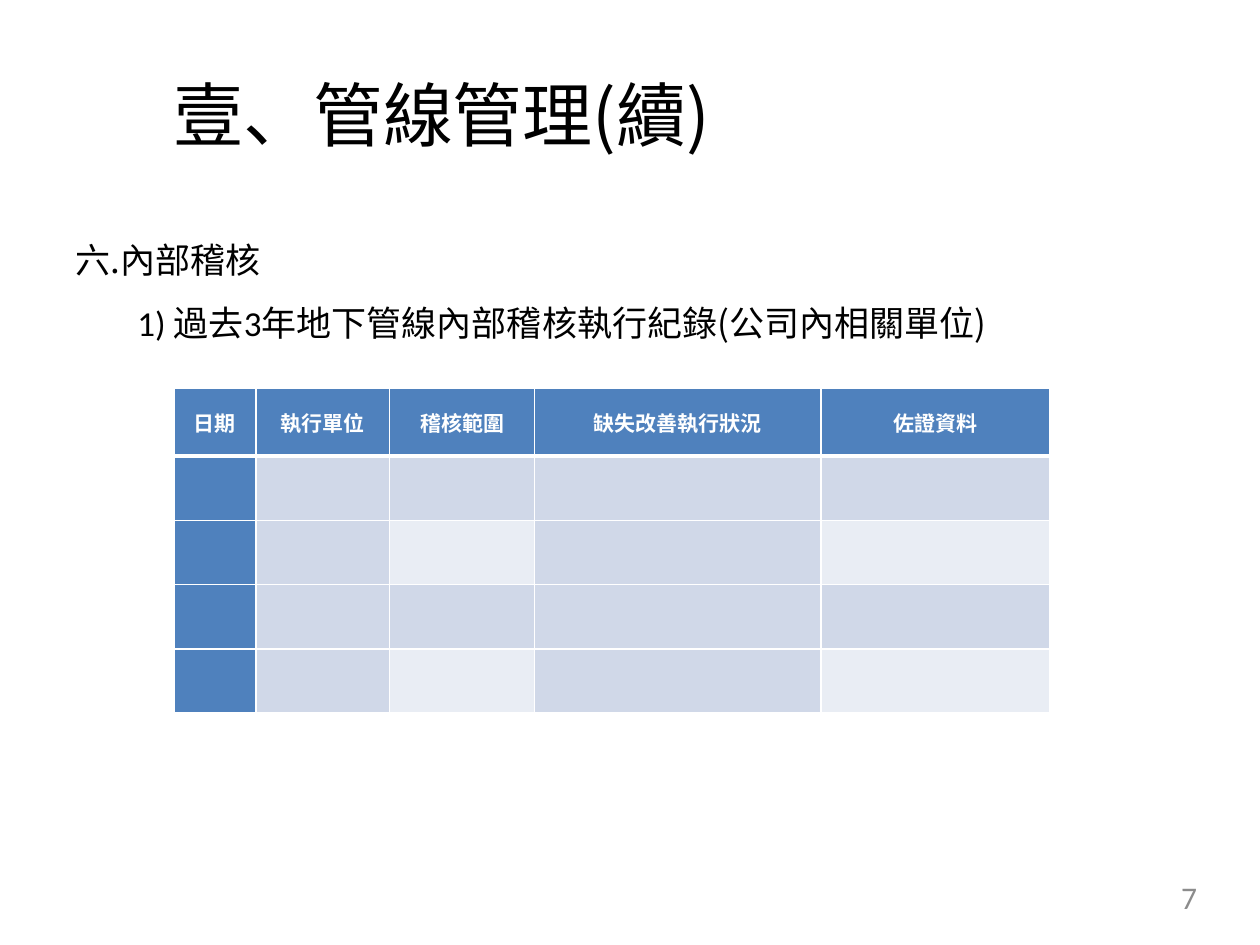
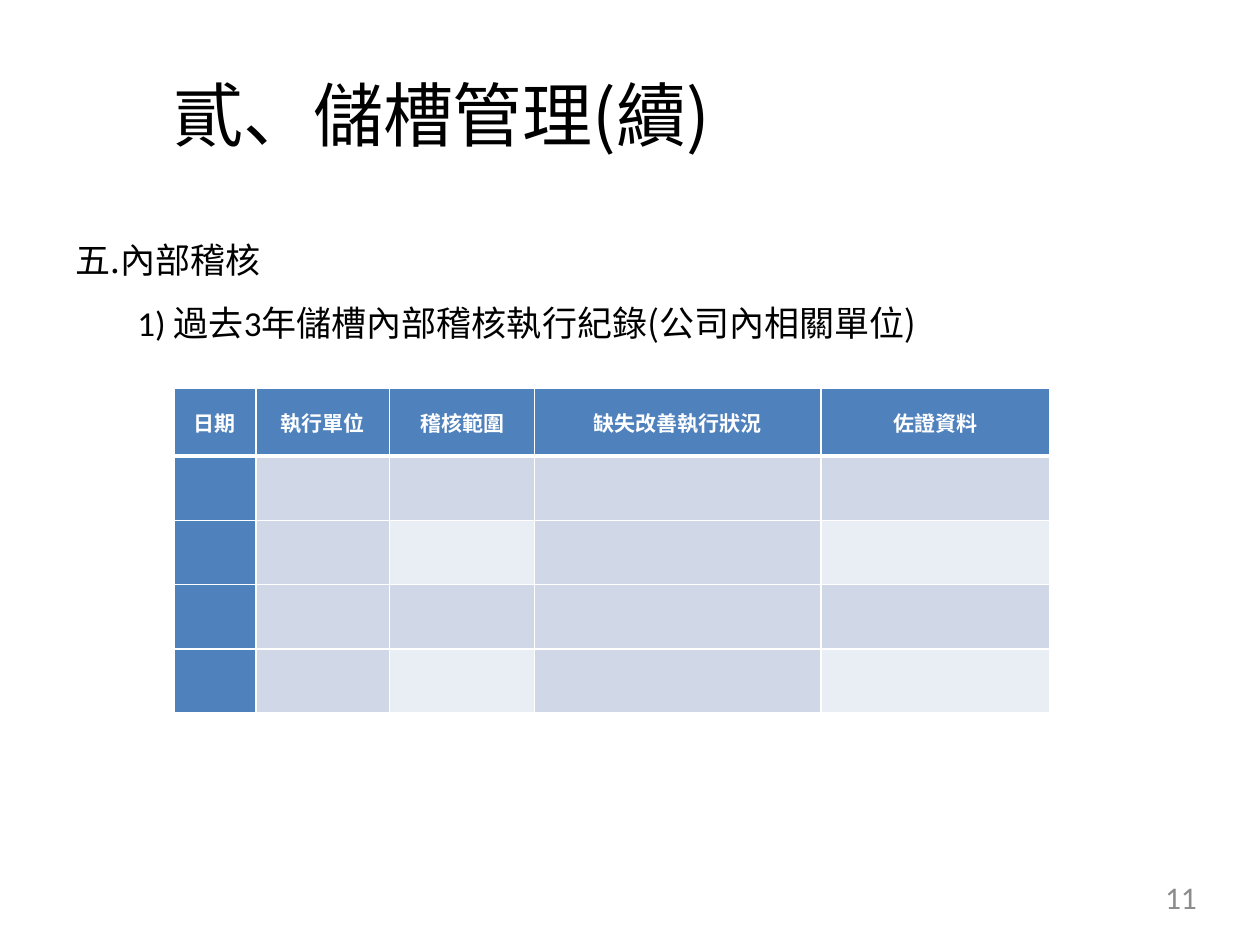
from collections import namedtuple
from dataclasses import dataclass

import pptx
import pptx.dml.color
import pptx.enum.text
import pptx.oxml.ns
import pptx.util
from lxml import etree

ALIGN = pptx.enum.text.PP_ALIGN
ANCHOR = pptx.enum.text.MSO_ANCHOR
GROW = pptx.enum.text.MSO_AUTO_SIZE.SHAPE_TO_FIT_TEXT
Pt = pptx.util.Pt

# The slide is a grid of 100 columns by 75 rows
SLIDE_WIDTH, SLIDE_HEIGHT = pptx.util.Inches(10), pptx.util.Inches(7.5)
COLUMN, ROW = SLIDE_WIDTH / 100, SLIDE_HEIGHT / 75

Box = namedtuple("Box", "left top width height")
TITLE_BOX = Box(13.7, 5.7, 76.3, 6.7)
BODY_BOX = Box(5, 16.7, 93.3, 11.1)
TABLE_BOX = Box(13.8, 30.8, 69.5, 25.8)
NUMBER_BOX = Box(72, 69.7, 23, 3.8)


@dataclass(frozen=True)
class Theme:
    latin: str = "Calibri"
    chinese: str = "Noto Sans CJK SC"
    text: str = "000000"
    muted: str = "8C8C8C"
    white: str = "FFFFFF"
    accent: str = "4F81BD"
    band: str = "D0D8E8"
    band_light: str = "E9EDF4"
    title_size: int = 40
    body_size: int = 20
    number_size: int = 18
    table_size: int = 12


THEME = Theme()
NO_MARGINS = dict.fromkeys(
    ("margin_left", "margin_top", "margin_right", "margin_bottom"), 0)
CELL_FORMAT = {**NO_MARGINS, "margin_left": Pt(5), "margin_right": Pt(5),
               "vertical_anchor": ANCHOR.MIDDLE}

AUDIT_HEADERS = ["日期", "執行單位", "稽核範圍", "缺失改善執行狀況", "佐證資料"]
AUDIT_WIDTHS = [0.65, 1.06, 1.15, 2.27, 1.81]
AUDIT_HEIGHTS = [0.54] + [0.51] * 4


def rgb(value):
    return pptx.dml.color.RGBColor.from_string(value)


def apply_format(target, values):
    for name, value in values.items():
        setattr(target, name, value)


def place(shape, box):
    apply_format(shape, {
        "left": round(box.left * COLUMN), "top": round(box.top * ROW),
        "width": round(box.width * COLUMN), "height": round(box.height * ROW)})


def add_element(parent, tag, **attributes):
    return etree.SubElement(parent, pptx.oxml.ns.qn(tag), attributes)


def add_run(paragraph, text, typeface, size, color, bold=False):
    run = paragraph.add_run()
    run.text = text
    apply_format(run.font, {"name": typeface, "size": Pt(size), "bold": bold})
    run.font.color.rgb = rgb(color)
    add_element(run.font._element, "a:ea", typeface=THEME.chinese)
    return run


def set_plain_indent(paragraph, columns=0):
    """Remove the bullet and set the left indent in grid columns."""
    properties = paragraph._p.get_or_add_pPr()
    properties.set("marL", str(round(columns * COLUMN)))
    properties.set("indent", "0")
    add_element(properties, "a:buNone")


def add_title(slide, box, text):
    shape = slide.shapes.title
    place(shape, box)
    apply_format(shape.text_frame, {
        **NO_MARGINS, "auto_size": GROW, "vertical_anchor": ANCHOR.TOP})
    paragraph = shape.text_frame.paragraphs[0]
    set_plain_indent(paragraph, 0.1)
    paragraph.alignment = ALIGN.LEFT
    run = add_run(paragraph, text, THEME.chinese, THEME.title_size, THEME.text)
    run.font._element.set("spc", "-10")


def add_body(slide, box, heading, subject):
    shape = slide.placeholders[1]
    place(shape, box)
    frame = shape.text_frame
    apply_format(frame, {"auto_size": GROW, "vertical_anchor": ANCHOR.MIDDLE})
    lines = [
        (0, [(heading, THEME.chinese)]),
        (4.9, [("1) ", THEME.latin), ("過去", THEME.chinese), ("3", THEME.latin),
               (f"年{subject}內部稽核執行紀錄(公司內相關單位)", THEME.chinese)]),
    ]
    for index, (indent, pieces) in enumerate(lines):
        paragraph = frame.add_paragraph() if index else frame.paragraphs[0]
        set_plain_indent(paragraph, indent)
        apply_format(paragraph, {"line_spacing": 1.5, "space_before": Pt(0)})
        for text, typeface in pieces:
            add_run(paragraph, text, typeface, THEME.body_size, THEME.text)


def set_borders(cell, widths):
    properties = cell._tc.get_or_add_tcPr()
    for side in ("L", "R", "T", "B"):
        line = add_element(properties, f"a:ln{side}", w=str(Pt(widths.get(side, 1))))
        fill = add_element(line, "a:solidFill")
        add_element(fill, "a:srgbClr", val=THEME.white)


def cell_color(row, column):
    if row == 0 or column == 0:
        return THEME.accent
    both_even = row % 2 == 0 and column % 2 == 0
    return THEME.band_light if both_even else THEME.band


def add_audit_table(slide, box):
    frame = slide.shapes.add_table(
        len(AUDIT_HEIGHTS), len(AUDIT_WIDTHS), 0, 0, SLIDE_WIDTH, SLIDE_HEIGHT)
    table = frame.table
    for column, share in zip(table.columns, AUDIT_WIDTHS):
        column.width = round(box.width * COLUMN * share / sum(AUDIT_WIDTHS))
    for row, share in zip(table.rows, AUDIT_HEIGHTS):
        row.height = round(box.height * ROW * share / sum(AUDIT_HEIGHTS))
    place(frame, box)

    # A thick rule separates the header from the body
    thick_sides = {0: {"B": 3}, 1: {"T": 3}}
    for row in range(len(AUDIT_HEIGHTS)):
        for column in range(len(AUDIT_WIDTHS)):
            cell = table.cell(row, column)
            set_borders(cell, thick_sides.get(row, {}))
            cell.fill.solid()
            cell.fill.fore_color.rgb = rgb(cell_color(row, column))

    # Header labels
    for column, label in enumerate(AUDIT_HEADERS):
        cell = table.cell(0, column)
        apply_format(cell, CELL_FORMAT)
        paragraph = cell.text_frame.paragraphs[0]
        paragraph.alignment = ALIGN.CENTER
        if column >= 2:
            paragraph.line_spacing = Pt(18)
        add_run(paragraph, label, THEME.latin, THEME.table_size, THEME.white, True)


def add_page_number(slide, box, number):
    shape = slide.shapes.add_textbox(0, 0, 0, 0)
    place(shape, box)
    apply_format(shape.text_frame, {
        **NO_MARGINS, "word_wrap": True, "auto_size": GROW})
    paragraph = shape.text_frame.paragraphs[0]
    paragraph.alignment = ALIGN.RIGHT
    add_run(paragraph, str(number), THEME.latin, THEME.number_size, THEME.muted)


def add_audit_slide(presentation, title, heading, subject, number):
    slide = presentation.slides.add_slide(presentation.slide_layouts[1])
    add_title(slide, TITLE_BOX, title)
    add_body(slide, BODY_BOX, heading, subject)
    add_audit_table(slide, TABLE_BOX)
    add_page_number(slide, NUMBER_BOX, number)


def main():
    presentation = pptx.Presentation()
    apply_format(presentation, {
        "slide_width": SLIDE_WIDTH, "slide_height": SLIDE_HEIGHT})
    add_audit_slide(presentation, "壹、管線管理(續)", "六.內部稽核", "地下管線", 7)
    add_audit_slide(presentation, "貳、儲槽管理(續)", "五.內部稽核", "儲槽", 11)
    presentation.save("out.pptx")


if __name__ == "__main__":
    main()
